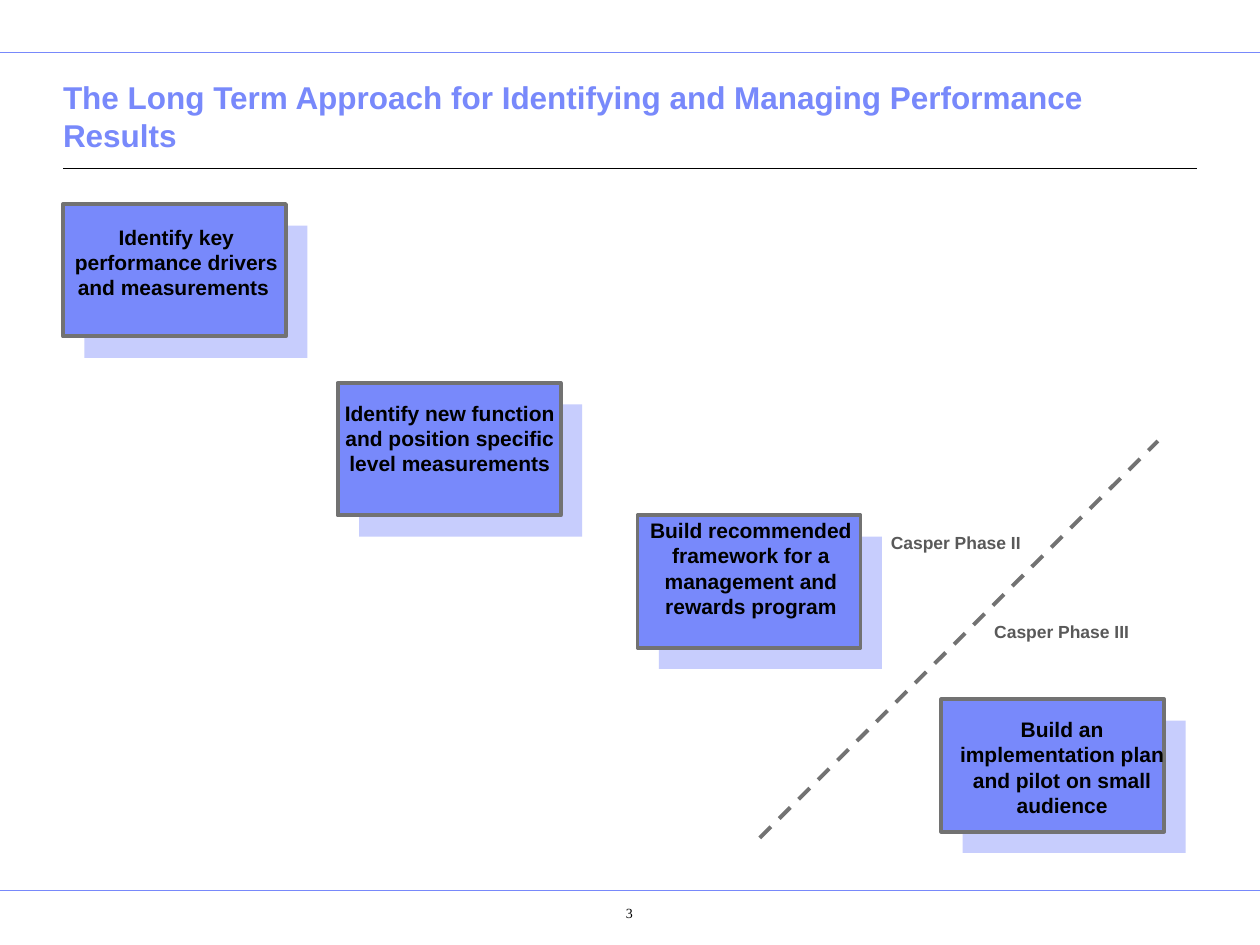
from dataclasses import dataclass

import pptx
import pptx.dml.color
import pptx.enum.dml
import pptx.enum.shapes
import pptx.enum.text
import pptx.oxml.ns
import pptx.slide
import pptx.text.text
import pptx.util
from lxml import etree
from pptx.util import Inches

COLORS = {
    "accent": "7889FB",
    "shade": "C7CDFD",
    "outline": "727272",
    "phase": "595959",
    "ink": "000000",
}
CARD_WIDTH, CARD_HEIGHT = 1.77, 1.05
SHADE_OFFSET = 0.17


@dataclass
class Label:
    text: str
    left: float
    top: float
    width: float
    height: float
    size: int
    color: str = "ink"
    font: str = "Arial"
    bold: bool = True
    wrap: bool = True
    inset_left: float = 0.1
    inset_top: float = 0.05


@dataclass
class Step:
    left: float
    top: float
    label: Label


@dataclass
class Rule:
    start: tuple[float, float]
    end: tuple[float, float]
    color: str
    width: float
    dashed: bool = False


RULES = [
    Rule((0, 0.42), (10, 0.42), "accent", 0.5),
    Rule((0, 7.07), (10, 7.07), "accent", 0.5),
    Rule((0.5, 1.34), (9.5, 1.34), "ink", 0.75),
]
STEPS = [
    Step(0.5, 1.62, Label("Identify key performance drivers and measurements ",
                          0.41, 1.73, 1.98, 0.7, 12)),
    Step(2.68, 3.04, Label("Identify new function and position specific level measurements",
                           2.58, 3.13, 1.98, 0.7, 12)),
    Step(5.06, 4.09, Label("Build recommended framework for a management and rewards program",
                           4.97, 4.06, 1.98, 0.9, 12)),
    Step(7.47, 5.55, Label("Build an implementation plan and pilot on small audience",
                           7.5, 5.64, 1.86, 0.9, 12)),
]
PHASE_DIVIDER = Rule((6.03, 6.65), (9.19, 3.5), "outline", 2.25, dashed=True)
PHASES = [
    Label("Casper Phase II", 6.97, 4.17, 1.23, 0.27, 10, "phase", wrap=False),
    Label("Casper Phase III", 7.79, 4.88, 1.27, 0.27, 10, "phase", wrap=False),
]
PAGE_NUMBER = Label("3", 4.27, 7.11, 1.15, 0.35, 8, font="Times New Roman",
                    bold=False, inset_left=0.4, inset_top=0.07)


def rgb(name: str) -> pptx.dml.color.RGBColor:
    return pptx.dml.color.RGBColor.from_string(COLORS[name])


def style_font(paragraph: pptx.text.text._Paragraph, name: str, size: int,
               color: str, bold: bool) -> None:
    paragraph.font.name = name
    paragraph.font.size = pptx.util.Pt(size)
    paragraph.font.bold = bold
    paragraph.font.color.rgb = rgb(color)


def draw_title(slide: pptx.slide.Slide, text: str) -> None:
    title = slide.shapes.title
    title.left, title.top = Inches(0.5), Inches(0.64)
    title.width, title.height = Inches(9), Inches(0.63)
    frame = title.text_frame
    frame.text = text
    frame.word_wrap = True
    frame.auto_size = pptx.enum.text.MSO_AUTO_SIZE.NONE
    frame.vertical_anchor = pptx.enum.text.MSO_ANCHOR.BOTTOM
    frame.margin_left = frame.margin_right = 0
    frame.margin_top = frame.margin_bottom = Inches(0.05)
    heading = frame.paragraphs[0]
    heading.alignment = pptx.enum.text.PP_ALIGN.LEFT
    style_font(heading, "Arial", 18, "accent", True)


def draw_rule(slide: pptx.slide.Slide, rule: Rule) -> None:
    line = slide.shapes.add_connector(
        pptx.enum.shapes.MSO_CONNECTOR.STRAIGHT,
        *(Inches(value) for value in rule.start + rule.end))
    line.line.color.rgb = rgb(rule.color)
    line.line.width = pptx.util.Pt(rule.width)
    if rule.dashed:
        line.line.dash_style = pptx.enum.dml.MSO_LINE.DASH
    etree.SubElement(line._element.spPr, pptx.oxml.ns.qn("a:effectLst"))


def draw_card(slide: pptx.slide.Slide, left: float, top: float, fill: str,
              outline: str | None = None) -> None:
    card = slide.shapes.add_shape(
        pptx.enum.shapes.MSO_SHAPE.RECTANGLE, Inches(left), Inches(top),
        Inches(CARD_WIDTH), Inches(CARD_HEIGHT))
    card.shadow.inherit = False
    card.fill.solid()
    card.fill.fore_color.rgb = rgb(fill)
    if outline:
        card.line.color.rgb = rgb(outline)
        card.line.width = pptx.util.Pt(2.25)
    else:
        card.line.fill.background()


def draw_label(slide: pptx.slide.Slide, label: Label) -> None:
    box = slide.shapes.add_textbox(Inches(label.left), Inches(label.top),
                                   Inches(label.width), Inches(label.height))
    frame = box.text_frame
    frame.text = label.text
    frame.word_wrap = label.wrap
    frame.margin_left = Inches(label.inset_left)
    frame.margin_top = Inches(label.inset_top)
    paragraph = frame.paragraphs[0]
    paragraph.alignment = pptx.enum.text.PP_ALIGN.CENTER
    style_font(paragraph, label.font, label.size, label.color, label.bold)


def draw_step(slide: pptx.slide.Slide, step: Step) -> None:
    draw_card(slide, step.left + SHADE_OFFSET, step.top + SHADE_OFFSET, "shade")
    draw_card(slide, step.left, step.top, "accent", "outline")
    draw_label(slide, step.label)


def main() -> None:
    deck = pptx.Presentation()
    deck.slide_width, deck.slide_height = Inches(10), Inches(7.5)
    slide = deck.slides.add_slide(deck.slide_layouts.get_by_name("Title Only"))
    draw_title(slide, "The Long Term Approach for Identifying and Managing "
                      "Performance Results")
    for rule in RULES:
        draw_rule(slide, rule)
    for step in STEPS:
        draw_step(slide, step)
    draw_rule(slide, PHASE_DIVIDER)
    for label in [*PHASES, PAGE_NUMBER]:
        draw_label(slide, label)
    deck.save("out.pptx")


if __name__ == "__main__":
    main()
